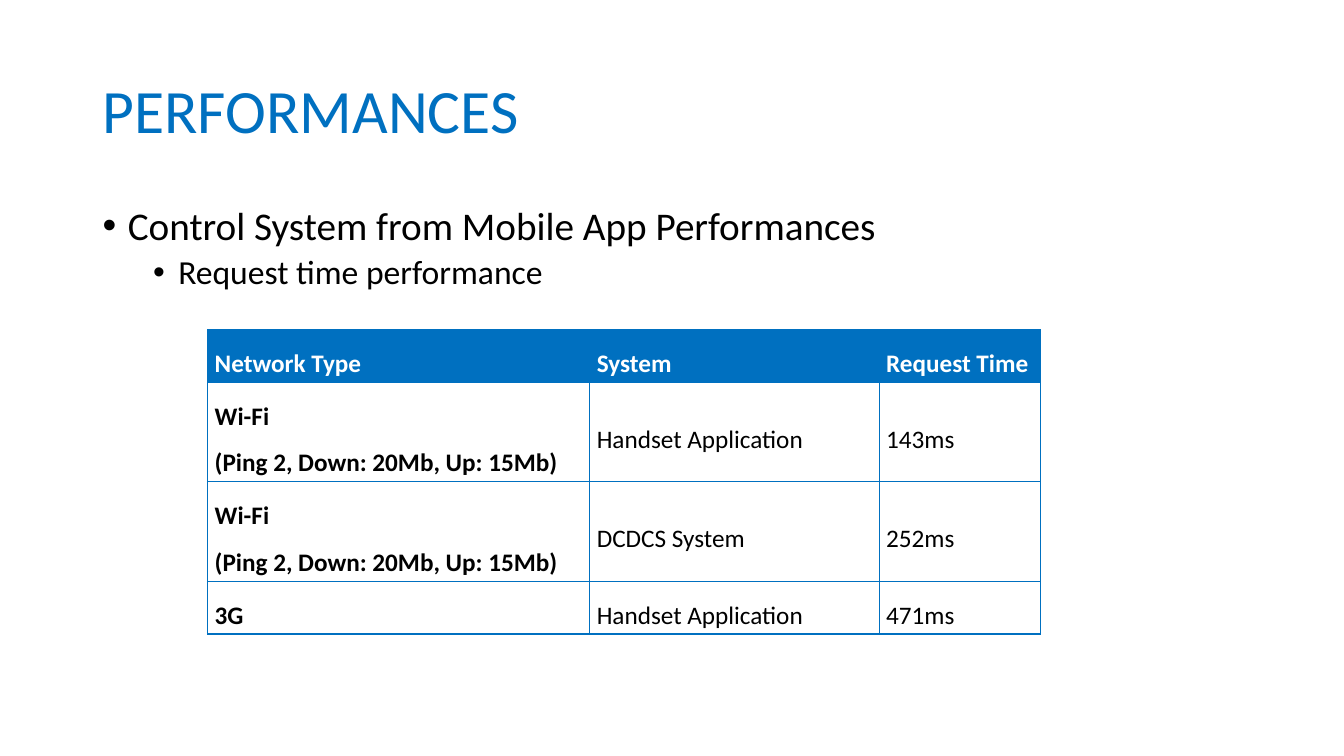
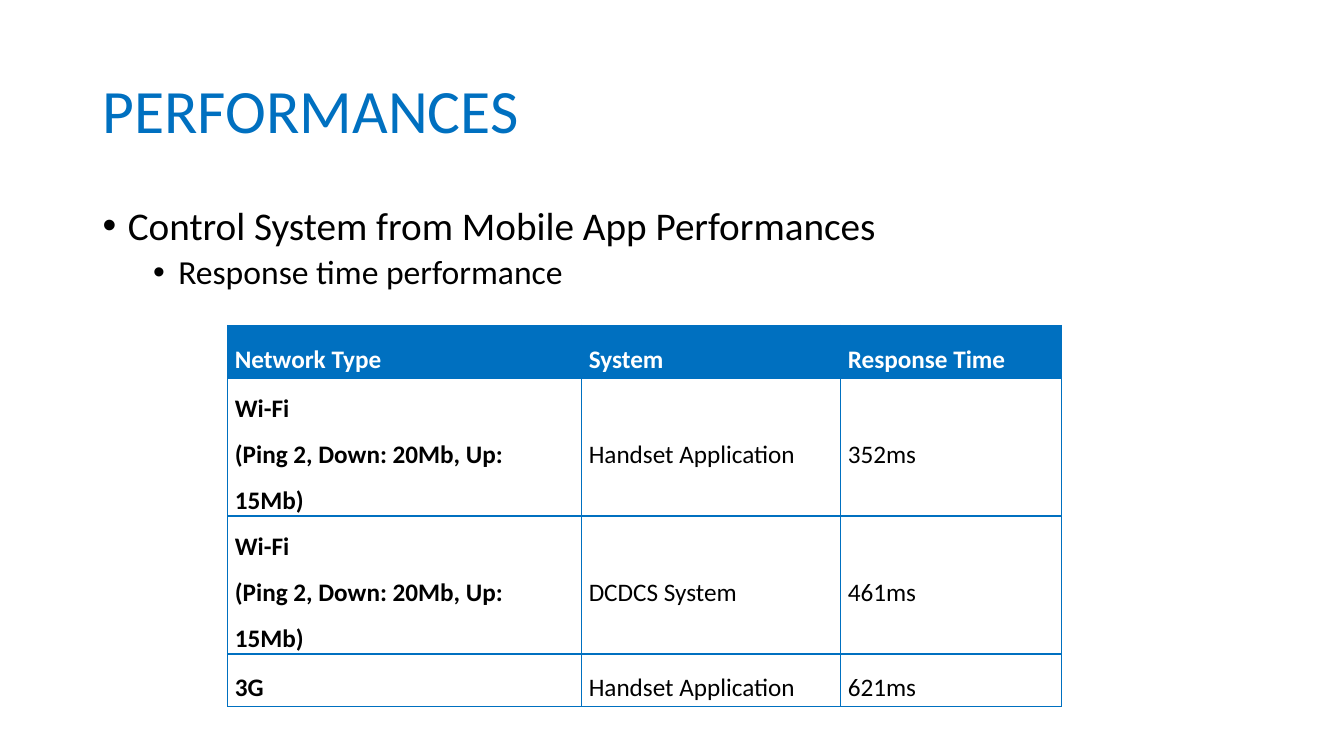
"""Build two slides that tabulate mobile app request and response times."""
import lxml.etree
import pptx
import pptx.dml.color
import pptx.enum.text
import pptx.oxml.ns
import pptx.util

Inches = pptx.util.Inches
Pt = pptx.util.Pt
MIDDLE = pptx.enum.text.MSO_ANCHOR.MIDDLE

FONT = "Calibri"
BLUE = "0070C0"
BLACK = "000000"
WHITE = "FFFFFF"

TITLE = "PERFORMANCES"
TOPIC = "Control System from Mobile App Performances"
WIFI = "Wi-Fi\n(Ping 2, Down: 20Mb, Up: 15Mb)"
NETWORKS = [
    (WIFI, "Handset Application"),
    (WIFI, "DCDCS System"),
    ("3G", "Handset Application"),
]
TITLE_BOX = (0.92, 0.4, 11.5, 1.45)
BODY_BOX = (0.92, 2, 11.5, 4.76)
BULLETS = [
    {"size": 28, "indent": 0.25, "before": 10},
    {"size": 24, "indent": 0.75, "before": 5},
]
CELL_FORMAT = {
    "margin_left": Inches(0.07),
    "margin_right": Inches(0.07),
    "margin_top": 0,
    "margin_bottom": 0,
    "vertical_anchor": MIDDLE,
}
SLIDES = [
    {
        "measure": "Request",
        "times": ["143ms", "252ms", "471ms"],
        "corner": (2.06, 3.27),
        "columns": [3.79, 2.87, 1.6],
        "rows": [0.52, 0.99, 0.99, 0.52],
    },
    {
        "measure": "Response",
        "times": ["352ms", "461ms", "621ms"],
        "corner": (2.26, 3.23),
        "columns": [3.51, 2.57, 2.19],
        "rows": [0.52, 1.37, 1.37, 0.52],
    },
]


def colour(value):
    """Return the colour for a hex string."""
    return pptx.dml.color.RGBColor.from_string(value)


def write(paragraph, text, size, value, line_spacing, bold=False):
    """Write one formatted run into a paragraph."""
    paragraph.line_spacing = line_spacing
    run = paragraph.add_run()
    run.text = text
    for name, setting in {"name": FONT, "size": Pt(size), "bold": bold}.items():
        setattr(run.font, name, setting)
    run.font.color.rgb = colour(value)


presentation = pptx.Presentation()
presentation.slide_width = Inches(13.33)
presentation.slide_height = Inches(7.5)
blank_layout = presentation.slide_layouts[6]
qn = pptx.oxml.ns.qn

for content in SLIDES:
    slide = presentation.slides.add_slide(blank_layout)

    title_frame = slide.shapes.add_textbox(*map(Inches, TITLE_BOX)).text_frame
    title_frame.word_wrap = True
    title_frame.vertical_anchor = MIDDLE
    write(title_frame.paragraphs[0], TITLE, 44, BLUE, 0.9)

    body_frame = slide.shapes.add_textbox(*map(Inches, BODY_BOX)).text_frame
    body_frame.word_wrap = True
    lines = [TOPIC, f"{content['measure']} time performance"]
    for level, (text, style) in enumerate(zip(lines, BULLETS)):
        paragraph = body_frame.add_paragraph() if level else body_frame.paragraphs[0]
        paragraph.level = level
        paragraph.space_before = Pt(style["before"])
        write(paragraph, text, style["size"], BLACK, 0.9)
        properties = paragraph._p.get_or_add_pPr()
        properties.set("marL", str(Inches(style["indent"])))
        properties.set("indent", str(Inches(-0.25)))
        lxml.etree.SubElement(properties, qn("a:buFont"), typeface="Arial")
        lxml.etree.SubElement(properties, qn("a:buChar"), char="•")

    records = [("Network Type", "System", f"{content['measure']} Time")]
    records += [(*network, time) for network, time in zip(NETWORKS, content["times"])]
    left, top = content["corner"]
    table = slide.shapes.add_table(
        len(records), len(records[0]), Inches(left), Inches(top),
        Inches(sum(content["columns"])), Inches(sum(content["rows"])),
    ).table
    for column, width in zip(table.columns, content["columns"]):
        column.width = Inches(width)
    for row, height in zip(table.rows, content["rows"]):
        row.height = Inches(height)

    for row_index, record in enumerate(records):
        is_header = row_index == 0
        for column_index, text in enumerate(record):
            cell = table.cell(row_index, column_index)
            for name, setting in CELL_FORMAT.items():
                setattr(cell, name, setting)
            cell_properties = cell._tc.get_or_add_tcPr()
            for side in ("a:lnL", "a:lnR", "a:lnT", "a:lnB"):
                border = lxml.etree.SubElement(cell_properties, qn(side), w=str(Pt(1)))
                border_fill = lxml.etree.SubElement(border, qn("a:solidFill"))
                lxml.etree.SubElement(border_fill, qn("a:srgbClr"), val=BLUE)
            cell.fill.solid()
            cell.fill.fore_color.rgb = colour(BLUE if is_header else WHITE)
            frame = cell.text_frame
            for index, line in enumerate(text.split("\n")):
                paragraph = frame.add_paragraph() if index else frame.paragraphs[0]
                write(paragraph, line, 18, WHITE if is_header else BLACK, 1.5,
                      bold=is_header or column_index == 0)

presentation.save("out.pptx")
